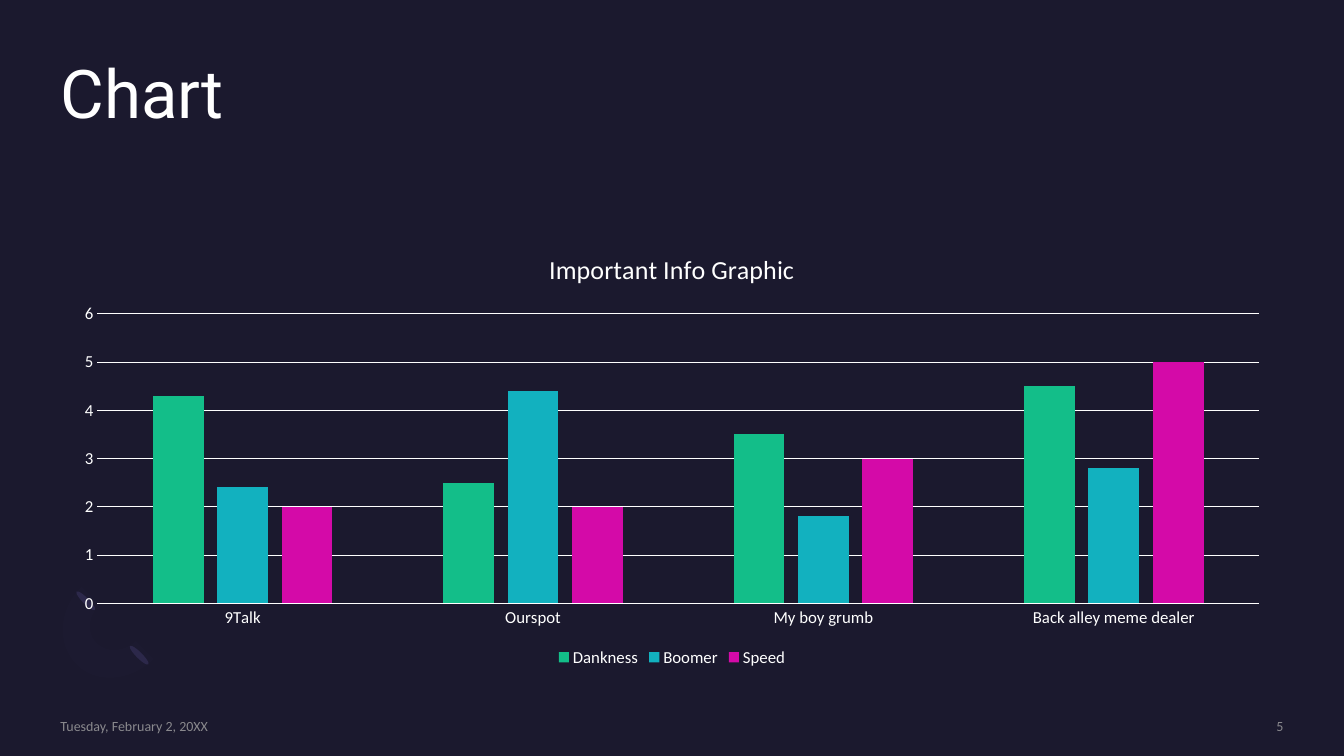
from lxml.etree import SubElement
from pptx import Presentation
from pptx.chart.data import CategoryChartData
from pptx.dml.color import RGBColor
from pptx.enum.chart import XL_CHART_TYPE as ChartType, XL_LEGEND_POSITION as LegendPosition
from pptx.enum.chart import XL_TICK_MARK as TickMark
from pptx.enum.shapes import MSO_SHAPE as Preset
from pptx.enum.text import MSO_ANCHOR as Anchor, PP_ALIGN as Align
from pptx.oxml.ns import qn
from pptx.util import Inches, Pt

BACKGROUND = "1B192E"
WHITE = "FFFFFF"
GRAY = "A6A6A6"
LEFT, WIDTH = 0.6, 12.13

CATEGORIES = ["9Talk", "Ourspot", "My boy grumb", "Back alley meme dealer"]
SERIES = [
    ("Dankness", "13BE89", (4.3, 2.5, 3.5, 4.5)),
    ("Boomer", "12B1BF", (2.4, 4.4, 1.8, 2.8)),
    ("Speed", "D40AA8", (2, 2, 3, 5)),
]


def color(value):
    """Turn a hex string into a colour."""
    return RGBColor.from_string(value)


def paint(fill, value, alpha=100):
    """Fill solidly, with an optional opacity in percent."""
    fill.solid()
    fill.fore_color.rgb = color(value)
    if alpha < 100:
        tint = fill._xPr.find(qn("a:solidFill"))[0]
        SubElement(tint, qn("a:alpha"), val=str(alpha * 1000))


def style_font(font, size, value=WHITE, name="Calibri", alpha=100):
    """Set size, colour and typeface of a font."""
    font.size = Pt(size)
    font.name = name
    font.bold = False
    paint(font.fill, value, alpha)


def style_line(line, value=WHITE, width=0.75):
    """Set colour and width of a line."""
    line.color.rgb = color(value)
    line.width = Pt(width)


def curve(start, first, second, end, steps=12):
    """Sample the points of a cubic curve after its start."""
    points = []
    for step in range(1, steps + 1):
        t = step / steps
        weights = ((1 - t) ** 3, 3 * t * (1 - t) ** 2, 3 * t * t * (1 - t), t ** 3)
        points.append(tuple(
            sum(weight * value for weight, value in zip(weights, values))
            for values in zip(start, first, second, end)))
    return points


def add_ring(slide, left, top):
    """Draw the faint half ring and the ellipses that cap it."""
    outer = curve((0.31, 0.77), (0.11, 0.57), (0.13, 0.23), (0.36, 0))
    inner = curve((0.54, 0.18), (0.42, 0.29), (0.41, 0.47), (0.51, 0.56))
    inner += curve((0.51, 0.56), (0.61, 0.66), (0.78, 0.65), (0.9, 0.54))
    close = curve((1.07, 0.72), (0.85, 0.94), (0.5, 0.97), (0.31, 0.77))
    points = [(Inches(left + x), Inches(top + y))
              for x, y in outer + [(0.54, 0.18)] + inner + [(1.07, 0.72)] + close]
    builder = slide.shapes.build_freeform(*points[0])
    builder.add_line_segments(points[1:], close=True)
    ring = builder.convert_to_shape()
    paint(ring.fill, "7771B2", 2)
    caps = [slide.shapes.add_shape(Preset.OVAL, Inches(left + x), Inches(top + y),
                                   Inches(0.06), Inches(0.26))
            for x, y in ((0.9, 0.55), (0.37, 0.01))]
    for cap in caps:
        cap.rotation = 135
        paint(cap.fill, "2C284A")
    for shape in [ring, *caps]:
        shape.line.fill.background()
        shape.shadow.inherit = False


def add_text(slide, box, text, size, value=WHITE, name="Calibri", alpha=100,
             align=Align.LEFT, anchor=Anchor.TOP, spacing=1.0):
    """Place one line of text in a box without margins."""
    frame = slide.shapes.add_textbox(*map(Inches, box)).text_frame
    frame.word_wrap = True
    frame.margin_left = frame.margin_right = frame.margin_top = frame.margin_bottom = 0
    frame.vertical_anchor = anchor
    frame.text = text
    paragraph = frame.paragraphs[0]
    paragraph.alignment = align
    paragraph.line_spacing = spacing
    style_font(paragraph.runs[0].font, size, value, name, alpha)


def add_column_chart(slide, box):
    """Place the clustered column chart in the box."""
    data = CategoryChartData()
    data.categories = CATEGORIES
    for name, _, values in SERIES:
        data.add_series(name, values)
    chart = slide.shapes.add_chart(ChartType.COLUMN_CLUSTERED, *map(Inches, box), data).chart
    style_font(chart.font, 10)

    chart.has_title = True
    title = chart.chart_title
    title.include_in_layout = False
    title.text_frame.text = "Important Info Graphic"
    style_font(title.text_frame.paragraphs[0].runs[0].font, 18.6)

    chart.has_legend = True
    chart.legend.position = LegendPosition.BOTTOM
    chart.legend.include_in_layout = False
    style_font(chart.legend.font, 12)

    for axis in (chart.category_axis, chart.value_axis):
        axis.major_tick_mark = axis.minor_tick_mark = TickMark.NONE
        style_font(axis.tick_labels.font, 12)
    style_line(chart.category_axis.format.line)
    scale = chart.value_axis
    scale.minimum_scale, scale.maximum_scale, scale.major_unit = 0, 6, 1
    scale.format.line.fill.background()
    style_line(scale.major_gridlines.format.line)

    plot = chart.plots[0]
    plot.vary_by_categories = False
    plot.gap_width, plot.overlap = 219, -27
    for series, (_, value, _) in zip(plot.series, SERIES):
        paint(series.format.fill, value)
        series.invert_if_negative = False


def add_footer(slide, left, top, width):
    """Place the date at the left and the slide number at the right."""
    for text, part, align in (("Tuesday, February 2, 20XX", 2.88, Align.LEFT),
                              ("5", 1.85, Align.RIGHT)):
        start = left + width - part if align == Align.RIGHT else left
        add_text(slide, (start, top, part, 0.17), text, 10, GRAY, alpha=80,
                 align=align, anchor=Anchor.MIDDLE)


def main():
    """Build and save the slide."""
    presentation = Presentation()
    presentation.slide_width, presentation.slide_height = Inches(13.33), Inches(7.5)
    slide = presentation.slides.add_slide(presentation.slide_layouts[6])
    paint(slide.background.fill, BACKGROUND)
    add_ring(slide, 0.45, 5.82)
    add_text(slide, (LEFT, 0.6, WIDTH, 1.46), "Chart", 48, name="Roboto", spacing=0.9)
    add_column_chart(slide, (LEFT, 2.31, WIDTH, 4.35))
    add_footer(slide, LEFT, 7.12, WIDTH)
    presentation.save("out.pptx")


if __name__ == "__main__":
    main()
